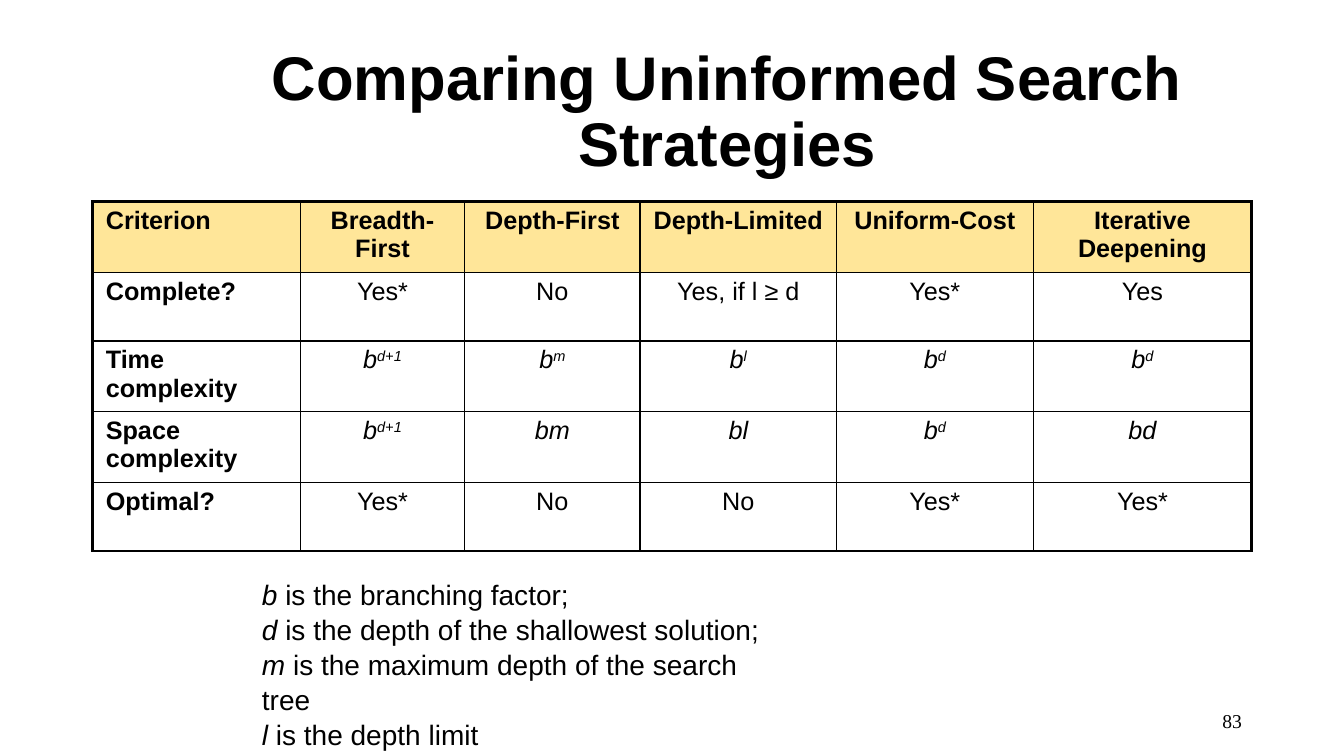
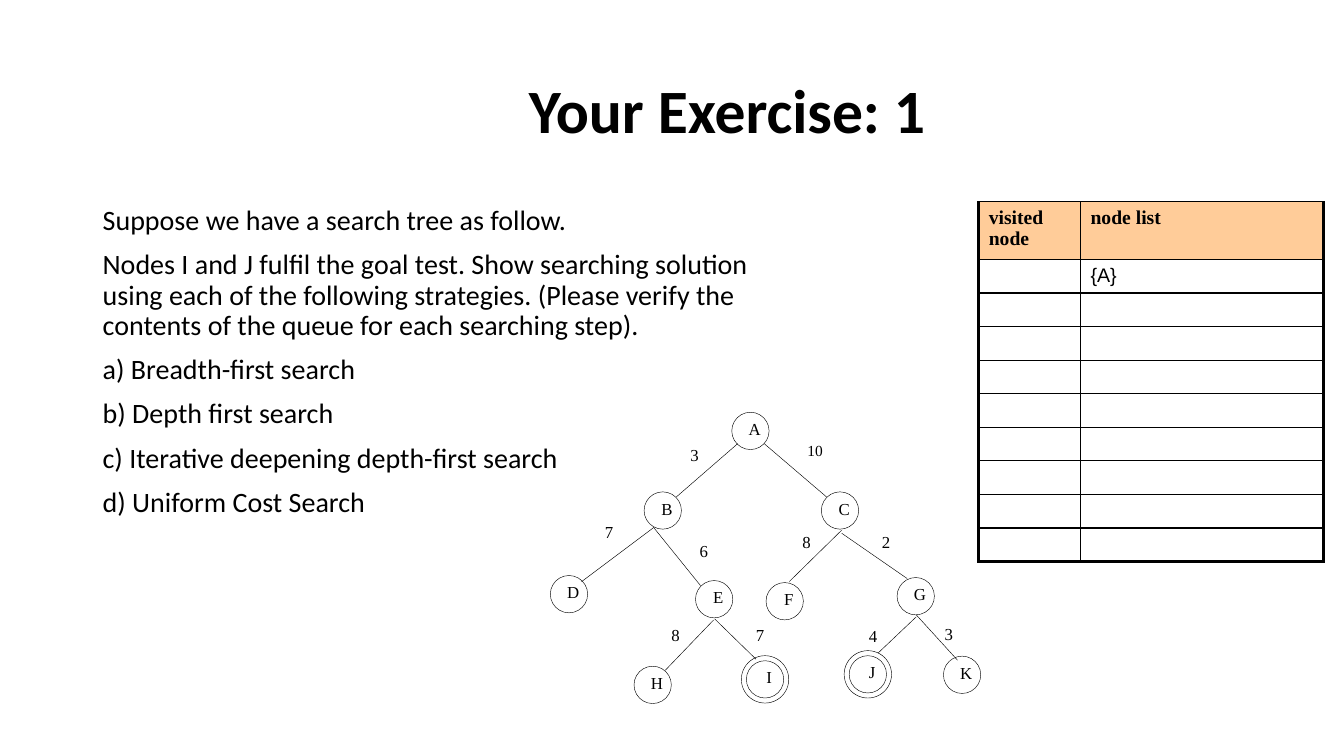
from dataclasses import dataclass

from lxml import etree
from pptx import Presentation
from pptx.dml.color import RGBColor
from pptx.enum.shapes import MSO_CONNECTOR, MSO_SHAPE
from pptx.enum.text import MSO_ANCHOR, PP_ALIGN
from pptx.oxml.ns import qn
from pptx.util import Inches, Pt

LEFT, MID, RIGHT = PP_ALIGN.LEFT, PP_ALIGN.CENTER, PP_ALIGN.RIGHT
TOP, CENTER = MSO_ANCHOR.TOP, MSO_ANCHOR.MIDDLE
OVAL, LINE = MSO_SHAPE.OVAL, MSO_CONNECTOR.STRAIGHT
WIDE, HIGH = Inches(13.33), Inches(7.5)
COLS, ROWS = 160, 90


@dataclass(frozen=True)
class Theme:
    ink: str = "000000"
    gold: str = "FFE699"
    peach: str = "FFCC99"
    sans: str = "Arial"
    body: str = "Calibri"
    serif: str = "Times New Roman"
    head: int = 44
    text: int = 20
    cell: int = 18
    small: int = 14
    node: int = 12
    tiny: int = 11
    hair: float = 0.3
    thin: float = 1
    thick: float = 2.25


def col(n):
    return round(WIDE * n / COLS)


def row(n):
    return round(HIGH * n / ROWS)


def power(text):
    base, _, top = text.partition("^")
    return [(base, "i"), (top, "i^")] if top else [(base, "i")]


class Deck:
    def __init__(self, theme):
        self.theme = theme
        self.ink = RGBColor.from_string(theme.ink)
        self.prs = Presentation()
        self.prs.slide_width, self.prs.slide_height = WIDE, HIGH

    def page(self, title, font):
        self.slide = self.prs.slides.add_slide(self.prs.slide_layouts[6])
        self.shapes = self.slide.shapes
        self.text((24.12, 4.8, 124.92, 17.4), [title], font, self.theme.head,
                  bold=True, align=MID, anchor=CENTER, lead=0.9)

    def group(self):
        self.shapes = self.slide.shapes.add_group_shape().shapes

    def letter(self, frame, lines, font, size, bold=False, align=LEFT,
               lead=None, gap=None):
        for i, line in enumerate(lines):
            para = frame.add_paragraph() if i else frame.paragraphs[0]
            if isinstance(line, str):
                para.text = line
                marks = [""]
            else:
                marks = [mark for _, mark in line]
                for words, _ in line:
                    para.add_run().text = words
            para.alignment = align
            if lead:
                para.line_spacing = lead
            if gap:
                para.space_before = Pt(gap)
            for run, mark in zip(para.runs, marks):
                run.font.name, run.font.size = font, Pt(size)
                run.font.bold, run.font.italic = bold, "i" in mark
                run.font.color.rgb = self.ink
                if "^" in mark:
                    run.font._element.set("baseline", "30000")

    def trim(self, frame):
        frame.margin_left = frame.margin_right = 0
        frame.margin_top = frame.margin_bottom = 0

    def text(self, area, lines, font, size, anchor=TOP, tight=False, **look):
        x, y, w, h = area
        box = self.shapes.add_textbox(col(x), row(y), col(w), row(h))
        frame = box.text_frame
        frame.word_wrap = not tight
        frame.vertical_anchor = anchor
        if tight:
            self.trim(frame)
        self.letter(frame, lines, font, size, **look)

    def ring(self, x, y, r):
        oval = self.shapes.add_shape(OVAL, col(x - r), row(y - r),
                                     col(2 * r), row(2 * r))
        oval.shadow.inherit = False
        oval.fill.background()
        oval.line.color.rgb = self.ink
        oval.line.width = Pt(self.theme.hair)
        return oval

    def node(self, name, x, y, goal):
        frame = self.ring(x, y, 2.22).text_frame
        self.trim(frame)
        frame.margin_left, frame.margin_bottom = col(1), row(0.5)
        frame.word_wrap = False
        frame.vertical_anchor = CENTER
        self.letter(frame, [name], self.theme.serif, self.theme.node,
                    align=MID)
        if goal:
            self.ring(x, y, 2.82)

    def edge(self, x1, y1, x2, y2):
        line = self.shapes.add_connector(LINE, col(x1), row(y1),
                                         col(x2), row(y2))
        line.line.color.rgb = self.ink
        line.line.width = Pt(self.theme.hair)
        etree.SubElement(line._element.spPr, qn("a:effectLst"))

    def border(self, cell, sides):
        props = cell._tc.get_or_add_tcPr()
        for side, width in zip("LRTB", sides):
            line = etree.SubElement(props, qn("a:ln" + side), w=str(Pt(width)))
            fill = etree.SubElement(line, qn("a:solidFill"))
            etree.SubElement(fill, qn("a:srgbClr"), val=self.theme.ink)

    def table(self, x, y, wides, highs, fill, rim, pad, draw):
        grid = self.shapes.add_table(len(highs), len(wides), col(x), row(y),
                                     col(sum(wides)), row(sum(highs))).table
        grid.first_row = grid.horz_banding = False
        for item, wide in zip(grid.columns, wides):
            item.width = col(wide)
        for item, high in zip(grid.rows, highs):
            item.height = row(high)
        thin, thick = self.theme.thin, self.theme.thick
        for r in range(len(highs)):
            for c in range(len(wides)):
                cell = grid.cell(r, c)
                cell.margin_left = cell.margin_right = col(pad)
                self.border(cell, (thin if c else thick,
                                   thick if c == len(wides) - 1 else thin,
                                   thin if r else rim,
                                   thick if r == len(highs) - 1 else thin))
                if r:
                    cell.fill.background()
                else:
                    cell.fill.solid()
                    cell.fill.fore_color.rgb = RGBColor.from_string(fill)
                draw(cell, r, c)


GRID = [
    ["Criterion", "Breadth-First", "Depth-First", "Depth-Limited",
     "Uniform-Cost", "Iterative Deepening"],
    ["Complete?", "Yes*", "No", "Yes, if l ≥ d", "Yes*", "Yes"],
    ["Time complexity", "b^d+1", "b^m", "b^l", "b^d", "b^d"],
    ["Space complexity", "b^d+1", "bm", "bl", "b^d", "bd"],
    ["Optimal?", "Yes*", "No", "No", "Yes*", "Yes*"],
]
TERMS = [
    ("b", " is the branching factor;"),
    ("d", " is the depth of the shallowest solution;"),
    ("m", " is the maximum depth of the search tree"),
    ("l", " is the depth limit"),
]
TASK = [
    "Suppose we have a search tree as follow.",
    "Nodes I and J fulfil the goal test. Show searching solution using each "
    "of the following strategies. (Please verify the contents of the queue "
    "for each searching step).",
    "a) Breadth-first search",
    "b) Depth first search",
    "c) Iterative deepening depth-first search",
    "d) Uniform Cost Search",
]
NODES = {
    "A": (89.34, 51.3), "B": (78.9, 60.78), "C": (100, 60.78),
    "D": (67.74, 70.74), "E": (85.02, 71.34), "F": (93.42, 71.58),
    "G": (109.02, 70.98), "H": (77.7, 81.54), "I": (91.08, 80.88),
    "J": (103.32, 80.28), "K": (114.54, 80.34),
}
GOALS = "IJ"
EDGES = [
    ("3", (82.2, 52.92), (87.84, 52.8, 80.52, 59.16)),
    ("10", (96.12, 52.56), (90.96, 52.8, 98.4, 59.16)),
    ("7", (72, 62.16), (77.88, 62.76, 69.24, 69.24)),
    ("6", (83.28, 64.32), (77.88, 62.88, 83.4, 69.72)),
    ("8", (95.52, 63.24), (100.2, 63.12, 93.96, 69.24)),
    ("2", (105, 63.24), (100.2, 63.48, 108, 68.88)),
    ("8", (79.92, 74.4), (84.96, 73.8, 79.2, 79.8)),
    ("7", (90, 74.4), (85.08, 73.68, 90, 78.48)),
    ("4", (103.44, 74.52), (109.08, 73.44, 104.52, 77.76)),
    ("3", (112.44, 74.28), (109.08, 73.2, 114, 78.6)),
]


def compare(deck):
    theme = deck.theme

    def draw(cell, r, c):
        words = GRID[r][c]
        line = power(words) if r in (2, 3) and c else words
        deck.letter(cell.text_frame, [line], theme.sans, theme.cell,
                    bold=r == 0 or c == 0, align=MID if c else LEFT)

    deck.page("Comparing Uninformed Search Strategies", theme.sans)
    deck.table(11.04, 24, [24.72, 19.56, 20.88, 23.4, 23.4, 26.04],
               [8.2] * len(GRID), theme.gold, theme.thick, 1.56, draw)
    deck.text((113.04, 83.4, 36, 4.8), ["83"], theme.serif, theme.small,
              anchor=CENTER, align=RIGHT)
    deck.text((30, 68.04, 62.4, 17.16),
              [[(name, "i"), (note, "")] for name, note in TERMS],
              theme.sans, theme.text, lead=1.04)


def practice(deck):
    theme = deck.theme
    words = {(0, 0): "visited node", (0, 1): "node list", (1, 1): "{A}"}

    def draw(cell, r, c):
        frame = cell.text_frame
        if (r, c) in words:
            deck.letter(frame, [words[r, c]], theme.sans if r else theme.serif,
                        theme.small, bold=r == 0)
        else:
            etree.SubElement(frame.paragraphs[0]._p, qn("a:endParaRPr"),
                             sz=str(theme.node * 100))

    deck.page("Your Exercise: 1", theme.body)
    deck.text((11.04, 24, 85.2, 57.12), TASK, theme.body, theme.text,
              lead=0.9, gap=10)
    deck.table(116.52, 24, [12.12, 28.92], [6.88] + [4] * 9,
               theme.peach, theme.thin, 1.2, draw)
    deck.group()
    for name, (x, y) in NODES.items():
        deck.node(name, x, y, name in GOALS)
    for cost, (x, y), ends in EDGES:
        deck.edge(*ends)
        size = theme.tiny if len(cost) > 1 else theme.node
        deck.text((x, y, 1.44 * len(cost), 3.36), [cost], theme.serif, size,
                  tight=True)


def main():
    deck = Deck(Theme())
    compare(deck)
    practice(deck)
    deck.prs.save("out.pptx")


if __name__ == "__main__":
    main()
